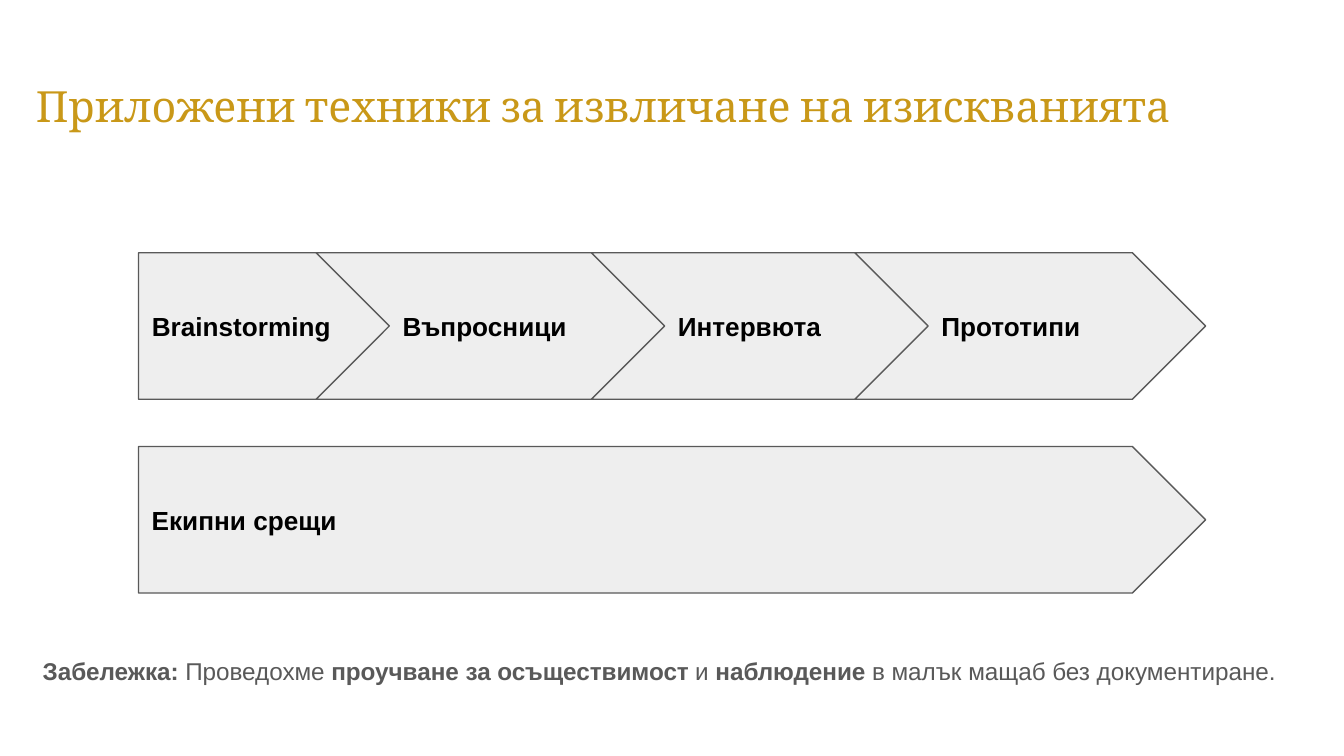
from pptx import Presentation
from pptx.dml.color import RGBColor
from pptx.enum.shapes import MSO_SHAPE as Shape
from pptx.enum.text import MSO_ANCHOR as Anchor, PP_ALIGN as Align
from pptx.util import Pt

GOLD = RGBColor(0xC9, 0x98, 0x18)
GREY = RGBColor(0x59, 0x59, 0x59)
PALE = RGBColor(0xEE, 0xEE, 0xEE)
BLACK = RGBColor(0, 0, 0)

INSET = 7.2
ARROW_LEFT, ARROW_HEIGHT = 74.2, 78.5
STEPS_TOP, MEETINGS_TOP = 135.4, 239.2
CHEVRON_WIDTH = 187.9
CHEVRONS = [("Въпросници", 169.3), ("Интервюта", 316.8), ("Прототипи", 458)]
NOTE = [
    ("Забележка: ", True),
    ("Проведохме ", False),
    ("проучване за осъществимост", True),
    (" и ", False),
    ("наблюдение ", True),
    ("в малък мащаб без документиране.", False),
]


def write(shape, spans, size, color, font="Arial", anchor=Anchor.TOP):
    """Fill a shape with one left-aligned paragraph of (text, bold) spans."""
    frame = shape.text_frame
    frame.word_wrap = True
    frame.vertical_anchor = anchor
    frame.margin_left = frame.margin_right = Pt(INSET)
    frame.margin_top = frame.margin_bottom = Pt(INSET)
    para = frame.paragraphs[0]
    para.alignment = Align.LEFT
    for text, bold in spans:
        span = para.add_run()
        span.text = text
        span.font.name = font
        span.font.size = Pt(size)
        span.font.bold = bold
        span.font.color.rgb = color
    return para


def add_text(page, left, top, width, height, spans, size, color, font="Arial"):
    box = page.shapes.add_textbox(Pt(left), Pt(top), Pt(width), Pt(height))
    return write(box, spans, size, color, font)


def add_arrow(page, kind, left, top, width, label):
    arrow = page.shapes.add_shape(kind, Pt(left), Pt(top), Pt(width), Pt(ARROW_HEIGHT))
    arrow.adjustments[0] = 0.5
    arrow.shadow.inherit = False
    arrow.fill.solid()
    arrow.fill.fore_color.rgb = PALE
    arrow.line.color.rgb = GREY
    arrow.line.width = Pt(0.75)
    write(arrow, [(label, True)], 14, BLACK, anchor=Anchor.MIDDLE)


def main():
    deck = Presentation()
    deck.slide_width, deck.slide_height = Pt(720), Pt(405)
    page = deck.slides.add_slide(deck.slide_layouts[6])

    # Title
    title = [("Приложени техники за извличане на изискванията", False)]
    add_text(page, 12.2, 35.3, 720, 51.8, title, 23, GOLD, "Cambria")

    # Sequence of techniques
    add_arrow(page, Shape.PENTAGON, ARROW_LEFT, STEPS_TOP, 144.7, "Brainstorming")
    for label, left in CHEVRONS:
        add_arrow(page, Shape.CHEVRON, left, STEPS_TOP, CHEVRON_WIDTH, label)

    # Team meetings, spanning the whole sequence
    sequence_end = CHEVRONS[-1][1] + CHEVRON_WIDTH
    add_arrow(page, Shape.PENTAGON, ARROW_LEFT, MEETINGS_TOP,
              sequence_end - ARROW_LEFT, "Екипни срещи")

    # Note
    para = add_text(page, 15.8, 343.4, 679.7, 33.8, NOTE, 13, GREY)
    para.line_spacing = 1.05
    para.space_after = Pt(12)

    deck.save("out.pptx")


if __name__ == "__main__":
    main()
